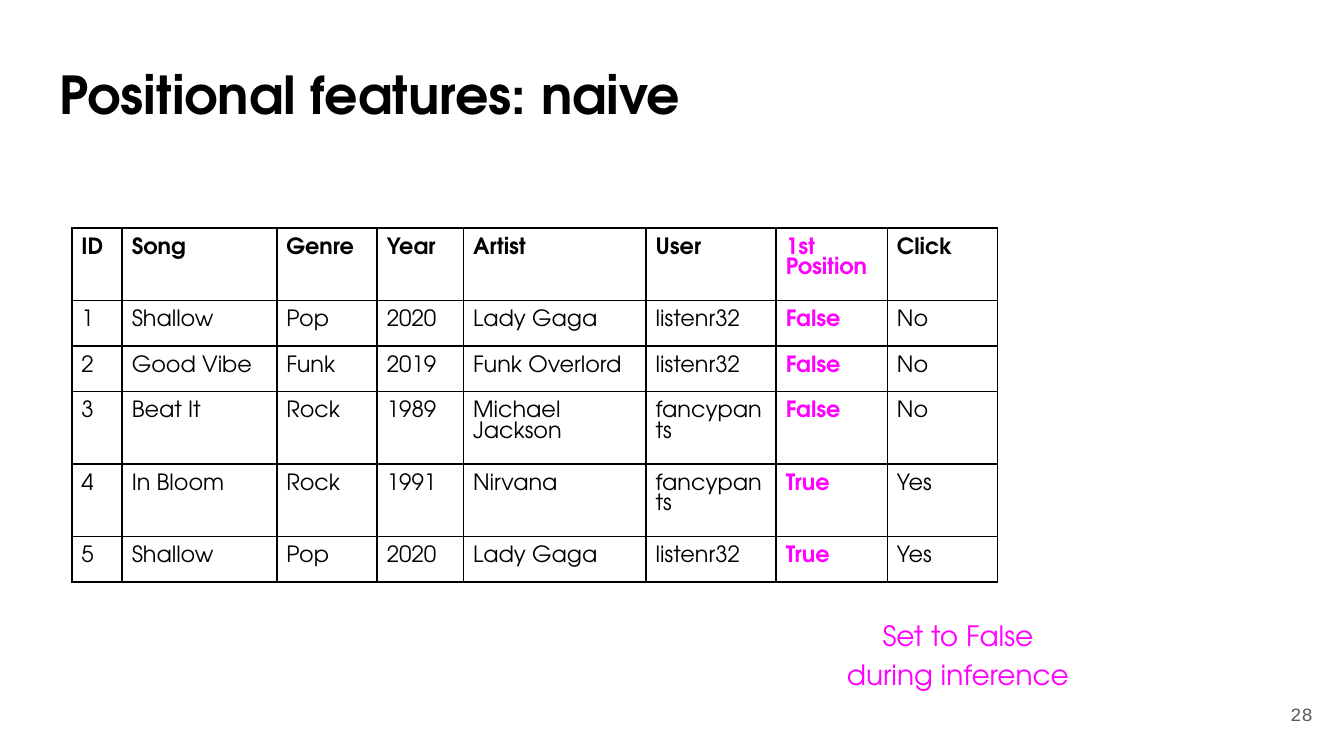
from lxml.etree import SubElement
from pptx import Presentation
from pptx.dml.color import RGBColor
from pptx.enum.text import MSO_ANCHOR, MSO_AUTO_SIZE, PP_ALIGN
from pptx.oxml.ns import qn
from pptx.util import Cm, Pt

FONT = "TeX Gyre Adventor"
BLACK, MAGENTA, GREY = "000000", "FF00FF", "595959"
HIGHLIGHT = "1st Position"
COLUMNS = {"ID": 0.95, "Song": 2.92, "Genre": 1.9, "Year": 1.63,
           "Artist": 3.45, "User": 2.46, HIGHLIGHT: 2.1, "Click": 2.08}
ROW_HEIGHTS = [1.37, 0.86, 0.86, 1.37, 1.37, 0.86]
PLAYS = [
    ["1", "Shallow", "Pop", "2020", "Lady Gaga", "listenr32", "False", "No"],
    ["2", "Good Vibe", "Funk", "2019", "Funk Overlord", "listenr32", "False", "No"],
    ["3", "Beat It", "Rock", "1989", "Michael Jackson", "fancypants", "False", "No"],
    ["4", "In Bloom", "Rock", "1991", "Nirvana", "fancypants", "True", "Yes"],
    ["5", "Shallow", "Pop", "2020", "Lady Gaga", "listenr32", "True", "Yes"],
]


def color(value):
    """Turn a hex string into a colour."""
    return RGBColor.from_string(value)


def style_text(para, size, shade=BLACK, bold=False, font=FONT):
    """Format every run of a paragraph."""
    for span in para.runs:
        span.font.name = font
        span.font.size = Pt(size)
        span.font.bold = bold
        span.font.color.rgb = color(shade)


def fill_box(shape, box, text, align, anchor=MSO_ANCHOR.TOP):
    """Place a text shape in its box and return its only paragraph."""
    shape.left, shape.top, shape.width, shape.height = (Cm(part) for part in box)
    frame = shape.text_frame
    frame.text = text
    frame.word_wrap = True
    frame.auto_size = MSO_AUTO_SIZE.NONE
    frame.vertical_anchor = anchor
    frame.margin_left = frame.margin_right = Cm(0.25)
    frame.margin_top = frame.margin_bottom = Cm(0.25)
    para = frame.paragraphs[0]
    para.alignment = align
    return para


def add_title(page, box):
    """Write the slide title."""
    para = fill_box(page.shapes.title, box, "Positional features: naive", PP_ALIGN.LEFT)
    style_text(para, 28, bold=True)


def add_note(page, box):
    """Write the remark below the highlighted column."""
    para = fill_box(page.placeholders[1], box, "Set to False during inference", PP_ALIGN.CENTER)
    properties = para._p.get_or_add_pPr()
    properties.set("marL", "0")
    properties.set("indent", "0")
    SubElement(properties, qn("a:buNone"))
    para.line_spacing = 1.15
    para.space_before = Pt(0)
    para.space_after = Pt(16)
    style_text(para, 15, MAGENTA)


def add_page_number(page, box):
    """Write the page number."""
    shape = page.shapes.add_textbox(0, 0, 0, 0)
    para = fill_box(shape, box, "28", PP_ALIGN.RIGHT, MSO_ANCHOR.MIDDLE)
    style_text(para, 10, GREY, font="Courier New")


def add_borders(cell):
    """Draw thin black lines around a cell."""
    properties = cell._tc.get_or_add_tcPr()
    for position, side in enumerate(("a:lnL", "a:lnR", "a:lnT", "a:lnB")):
        line = properties.makeelement(qn(side), {"w": str(Pt(1))})
        SubElement(SubElement(line, qn("a:solidFill")), qn("a:srgbClr"), val=BLACK)
        properties.insert(position, line)


def add_plays_table(page, box):
    """Build the table of song plays with its highlighted column."""
    rows = [list(COLUMNS)] + PLAYS
    table = page.shapes.add_table(len(rows), len(COLUMNS), *(Cm(part) for part in box)).table
    table.horz_banding = False
    table.first_row = False
    for column, width in zip(table.columns, COLUMNS.values()):
        column.width = Cm(width)
    for row, height in zip(table.rows, ROW_HEIGHTS):
        row.height = Cm(height)
    for row_index, values in enumerate(rows):
        for column_index, (name, value) in enumerate(zip(COLUMNS, values)):
            cell = table.cell(row_index, column_index)
            cell.text = value
            cell.fill.background()
            cell.margin_left = cell.margin_right = Cm(0.18)
            cell.margin_top = cell.margin_bottom = Cm(0.18)
            add_borders(cell)
            marked = name == HIGHLIGHT
            style_text(cell.text_frame.paragraphs[0], 12,
                       MAGENTA if marked else BLACK, marked or row_index == 0)


def main():
    """Build the deck and save it."""
    deck = Presentation()
    deck.slide_width, deck.slide_height = Cm(25.4), Cm(14.29)
    page = deck.slides.add_slide(deck.slide_layouts[1])
    add_title(page, (0.87, 0.93, 23.67, 1.35))
    add_page_number(page, (23.54, 12.95, 1.52, 1.09))
    add_plays_table(page, (1.36, 4.31, sum(COLUMNS.values()), sum(ROW_HEIGHTS)))
    add_note(page, (15.59, 11.35, 5.03, 2.69))
    deck.save("out.pptx")


if __name__ == "__main__":
    main()
